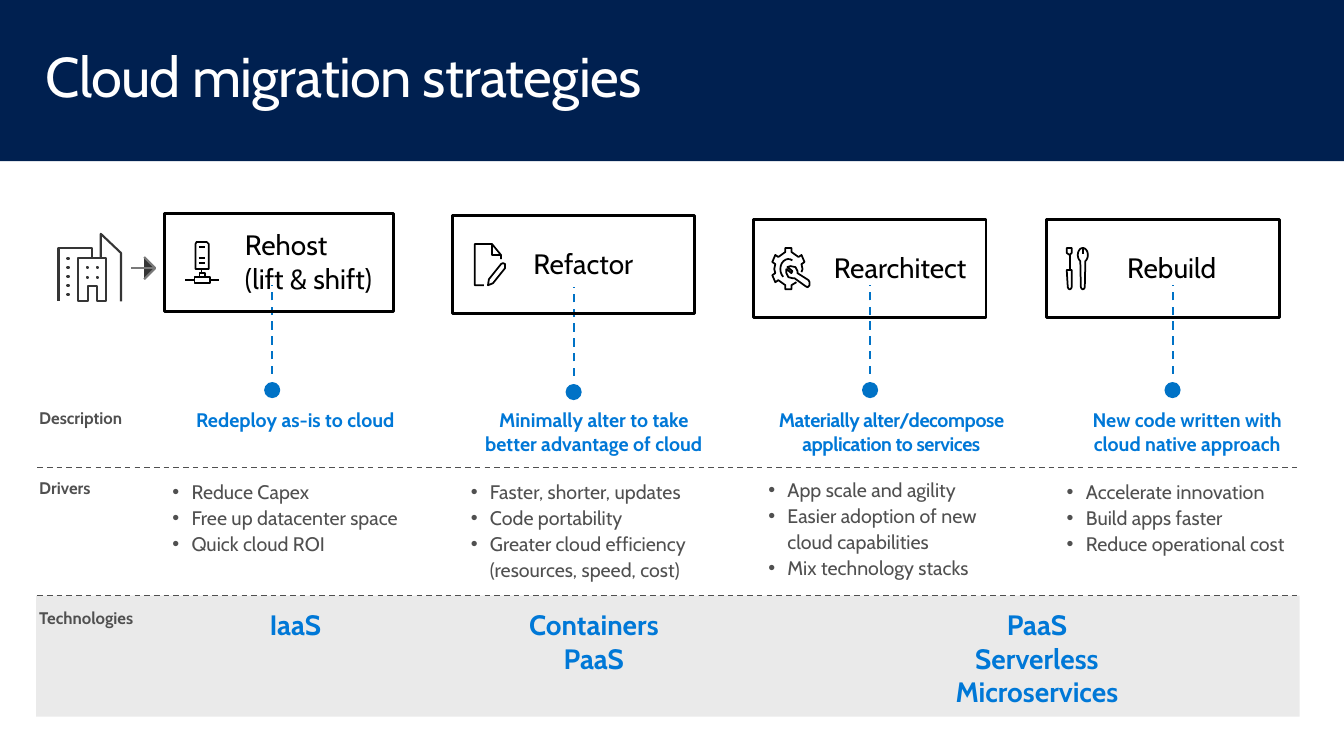
import math

import lxml.etree
import pptx
import pptx.dml.color
import pptx.enum.dml
import pptx.enum.shapes
import pptx.enum.text
import pptx.oxml.ns
import pptx.util

Inches = pptx.util.Inches
Pt = pptx.util.Pt
qn = pptx.oxml.ns.qn
Align = pptx.enum.text.PP_ALIGN
Anchor = pptx.enum.text.MSO_ANCHOR
Shape = pptx.enum.shapes.MSO_SHAPE

COLORS = {
    "navy": "002050", "white": "FFFFFF", "blue": "0072C6", "accent": "0078D7",
    "gray": "505050", "band": "EAEAEA", "dark": "353535", "edge": "797979",
    "black": "000000",
}


def arc(center_x, center_y, radius_x, radius_y, start, end, steps=10):
    angles = [math.radians(start + (end - start) * i / steps) for i in range(steps + 1)]
    return [(center_x + radius_x * math.cos(a), center_y + radius_y * math.sin(a)) for a in angles]


def rectangle(left, top, right, bottom):
    return [(left, top), (right, top), (right, bottom), (left, bottom), (left, top)]


class SlideBuilder:
    font = "Cabin"

    def __init__(self, slide):
        self.slide = slide

    def color(self, name):
        return pptx.dml.color.RGBColor.from_string(COLORS[name])

    def paint(self, shape, fill=None, line=None, width=1):
        shape.shadow.inherit = False
        if fill:
            shape.fill.solid()
            shape.fill.fore_color.rgb = self.color(fill)
        else:
            shape.fill.background()
        if line:
            shape.line.color.rgb = self.color(line)
            shape.line.width = Pt(width)
        else:
            shape.line.fill.background()

    def preset(self, kind, box, fill=None, line=None, width=1):
        shape = self.slide.shapes.add_shape(kind, *map(Inches, box))
        self.paint(shape, fill, line, width)
        return shape

    def set_text(self, shape, lines, size, color, bold=False, align=Align.LEFT, anchor=Anchor.TOP,
                 insets=(0.1, 0.05, 0.1, 0.05), spacing=1.0, tracking=0, bullet=False):
        frame = shape.text_frame
        frame.word_wrap = True
        frame.vertical_anchor = anchor
        frame.margin_left, frame.margin_top, frame.margin_right, frame.margin_bottom = map(Inches, insets)
        frame.text = "\n".join(lines)
        for paragraph in frame.paragraphs:
            paragraph.alignment = align
            paragraph.line_spacing = spacing
            if bullet:
                properties = paragraph._p.get_or_add_pPr()
                properties.set("marL", str(Inches(0.19)))
                properties.set("indent", str(Inches(-0.19)))
                lxml.etree.SubElement(properties, qn("a:buFont")).set("typeface", "Arial")
                lxml.etree.SubElement(properties, qn("a:buChar")).set("char", "•")
            for run in paragraph.runs:
                run.font.name = self.font
                run.font.size = Pt(size)
                run.font.bold = bold
                run.font.color.rgb = self.color(color)
                if tracking:
                    run._r.get_or_add_rPr().set("spc", str(tracking))

    def text(self, box, lines, size, color, **style):
        self.set_text(self.slide.shapes.add_textbox(*map(Inches, box)), lines, size, color, **style)

    def dashed_line(self, start, end, color, width):
        connector = self.slide.shapes.add_connector(
            pptx.enum.shapes.MSO_CONNECTOR.STRAIGHT, *map(Inches, start + end))
        connector.line.color.rgb = self.color(color)
        connector.line.width = Pt(width)
        connector.line.dash_style = pptx.enum.dml.MSO_LINE.DASH
        lxml.etree.SubElement(connector._element.spPr, qn("a:effectLst"))

    def icon(self, strokes, line="black", width=1.25, fill=None):
        strokes = [[(Inches(x), Inches(y)) for x, y in stroke] for stroke in strokes]
        builder = self.slide.shapes.build_freeform(*strokes[0][0], scale=1.0)
        for index, stroke in enumerate(strokes):
            if index:
                builder.move_to(*stroke[0])
            closed = len(stroke) > 2 and stroke[0] == stroke[-1]
            builder.add_line_segments(stroke[1:], close=closed)
        self.paint(builder.convert_to_shape(), fill, line, width)


STRATEGIES = [
    {"name": ["Rehost", "(lift & shift)"], "box": (1.63, 2.12, 2.27, 0.97), "stem": (2.7, 2.83),
     "left": 1.66, "width": 2.54, "drivers_top": 4.69, "tracking": 0,
     "description": "Redeploy as-is to cloud",
     "drivers": ["Reduce Capex", "Free up datacenter space", "Quick cloud ROI"]},
    {"name": ["Refactor"], "box": (4.49, 2.14, 2.4, 0.97), "stem": (5.69, 2.85),
     "left": 4.62, "width": 2.54, "drivers_top": 4.69, "tracking": 0,
     "description": "Minimally alter to take better advantage of cloud",
     "drivers": ["Faster, shorter, updates", "Code portability",
                 "Greater cloud efficiency (resources, speed, cost)"]},
    {"name": ["Rearchitect"], "box": (7.47, 2.18, 2.31, 0.97), "stem": (8.63, 2.83),
     "left": 7.57, "width": 2.54, "drivers_top": 4.67, "tracking": -30,
     "description": "Materially alter/decompose application to services",
     "drivers": ["App scale and agility", "Easier adoption of new cloud capabilities",
                 "Mix technology stacks"]},
    {"name": ["Rebuild"], "box": (10.38, 2.18, 2.31, 0.97), "stem": (11.63, 2.83),
     "left": 10.53, "width": 2.49, "drivers_top": 4.69, "tracking": 0,
     "description": "New code written with cloud native approach",
     "drivers": ["Accelerate innovation", "Build apps faster", "Reduce operational cost"]},
]
TECHNOLOGIES = [
    ((1.66, 5.98, 2.54, 0.44), ["IaaS"]),
    ((4.62, 5.98, 2.54, 0.77), ["Containers", "PaaS"]),
    ((7.57, 5.98, 5.43, 1.11), ["PaaS", "Serverless", "Microservices"]),
]
ROW_LABELS = [("Description", 4), ("Drivers", 4.69), ("Technologies", 5.98)]

WINDOWS = [(0.67, 2.56 + 0.09 * row) for row in range(5)]
WINDOWS += [(x, y) for x in (0.86, 0.96) for y in (2.65, 2.75)]
BUILDINGS = [
    [(1.05, 2.56), (1.05, 2.99), (0.96, 2.99), (0.96, 2.84), (0.87, 2.84), (0.87, 2.99),
     (0.77, 2.99), (0.77, 2.56), (1.05, 2.56)],
    [(0.91, 2.56), (0.91, 2.46), (0.58, 2.46), (0.58, 2.99)],
    [(1.2, 2.99), (1.2, 2.51), (1, 2.32), (1, 2.56)],
] + [rectangle(x, y, x + 0.01, y + 0.01) for x, y in WINDOWS]
ARROW = [[(1.43, 2.55), (1.54, 2.66), (1.43, 2.77)], [(1.54, 2.66), (1.3, 2.66)]]
SERVER = [
    rectangle(1.93, 2.75, 2.08, 2.81),
    [(1.98, 2.75), (1.98, 2.71), (2.03, 2.71), (2.03, 2.75)],
    [(1.93, 2.78), (1.84, 2.78)], [(2.08, 2.78), (2.17, 2.78)], [(2, 2.71), (2, 2.67)],
    [(2.07, 2.67), (2.07, 2.42), (2.05, 2.4), (1.95, 2.4), (1.94, 2.42), (1.94, 2.67), (2.07, 2.67)],
] + [[(1.97, y), (2.03, y)] for y in (2.45, 2.56, 2.61)]
DOCUMENT = [
    [(4.97, 2.57), (4.97, 2.53), (4.88, 2.42), (4.71, 2.42), (4.71, 2.83), (4.8, 2.83)],
    [(4.97, 2.53), (4.88, 2.53), (4.88, 2.42)],
    [(4.84, 2.83), (4.89, 2.81), (5.01, 2.66), (5.01, 2.62), (4.99, 2.61), (4.97, 2.62),
     (4.85, 2.77), (4.84, 2.83)],
]
GEAR = [
    [(7.9, 2.8), (7.85, 2.83), (7.85, 2.87), (7.79, 2.87), (7.79, 2.83), (7.72, 2.78),
     (7.69, 2.8), (7.66, 2.73), (7.69, 2.71), (7.68, 2.67), (7.69, 2.62), (7.66, 2.6),
     (7.69, 2.53), (7.72, 2.55), (7.79, 2.5), (7.79, 2.46), (7.85, 2.46), (7.85, 2.5),
     (7.92, 2.55), (7.95, 2.53), (7.98, 2.6), (7.95, 2.62), (7.96, 2.67), (7.95, 2.7)],
    arc(7.82, 2.67, 0.08, 0.1, 300, 130),
    [(7.88, 2.76), (7.99, 2.84), (8.01, 2.85), (8.03, 2.83), (8.03, 2.8), (8.02, 2.78),
     (7.91, 2.71), (7.91, 2.69), (7.89, 2.65), (7.84, 2.64), (7.81, 2.65), (7.86, 2.69),
     (7.85, 2.71), (7.8, 2.67), (7.8, 2.71), (7.82, 2.75), (7.86, 2.76), (7.88, 2.76)],
]
TOOLS = [
    arc(10.74, 2.53, 0.05, 0.07, -90, 60) + arc(10.74, 2.84, 0.02, 0.03, 0, 180)
    + arc(10.74, 2.53, 0.05, 0.07, 120, 270),
    [(10.63, 2.68), (10.58, 2.68)] + arc(10.61, 2.84, 0.02, 0.03, 180, 0) + [(10.63, 2.68)],
    [(10.63, 2.46), (10.58, 2.46), (10.58, 2.51), (10.61, 2.53), (10.63, 2.51), (10.63, 2.46)],
    [(10.61, 2.53), (10.61, 2.68)], [(10.74, 2.46), (10.74, 2.52)],
]


def main():
    presentation = pptx.Presentation()
    presentation.slide_width = Inches(13.33)
    presentation.slide_height = Inches(7.5)
    page = SlideBuilder(presentation.slides.add_slide(presentation.slide_layouts[6]))

    page.preset(Shape.RECTANGLE, (0, 0, 13.33, 1.6), fill="navy")
    page.text((0.29, 0.39, 12.75, 0.98), ["Cloud migration strategies"], 40, "white",
              insets=(0.16, 0.1, 0.16, 0.1), spacing=0.9, tracking=-50)
    page.preset(Shape.RECTANGLE, (0.36, 5.91, 12.53, 1.2), fill="band")

    for strategy in STRATEGIES:
        x, top = strategy["stem"]
        left, width = strategy["left"], strategy["width"]
        page.preset(Shape.OVAL, (x - 0.08, top + 0.96, 0.16, 0.16), fill="blue")
        page.dashed_line((x, top + 0.88), (x, top), "blue", 1.5)
        page.text((left, 4, width, 0.57), [strategy["description"]], 14, "accent", bold=True,
                  align=Align.CENTER, tracking=strategy["tracking"])
        page.text((left, strategy["drivers_top"], width, 1.14), strategy["drivers"], 14, "gray",
                  insets=(0.05,) * 4, spacing=1.1, bullet=True)
        card = page.preset(Shape.RECTANGLE, strategy["box"], line="black", width=2)
        page.set_text(card, strategy["name"], 20, "black", anchor=Anchor.MIDDLE,
                      insets=(0.8, 0.02, 0.1, 0.05))

    for box, names in TECHNOLOGIES:
        page.text(box, names, 20, "accent", bold=True, align=Align.CENTER)
    for y in (4.64, 5.91):
        page.dashed_line((0.37, y), (12.9, y), "gray", 1)
    for label, top in ROW_LABELS:
        page.text((0.29, top, 1.67, 0.4), [label], 12, "gray", bold=True)

    page.icon(BUILDINGS, line="dark", width=1.5)
    page.icon(ARROW, line="edge", width=1.5, fill="dark")
    for strokes in (SERVER, DOCUMENT, GEAR, TOOLS):
        page.icon(strokes)

    presentation.save("out.pptx")


if __name__ == "__main__":
    main()
